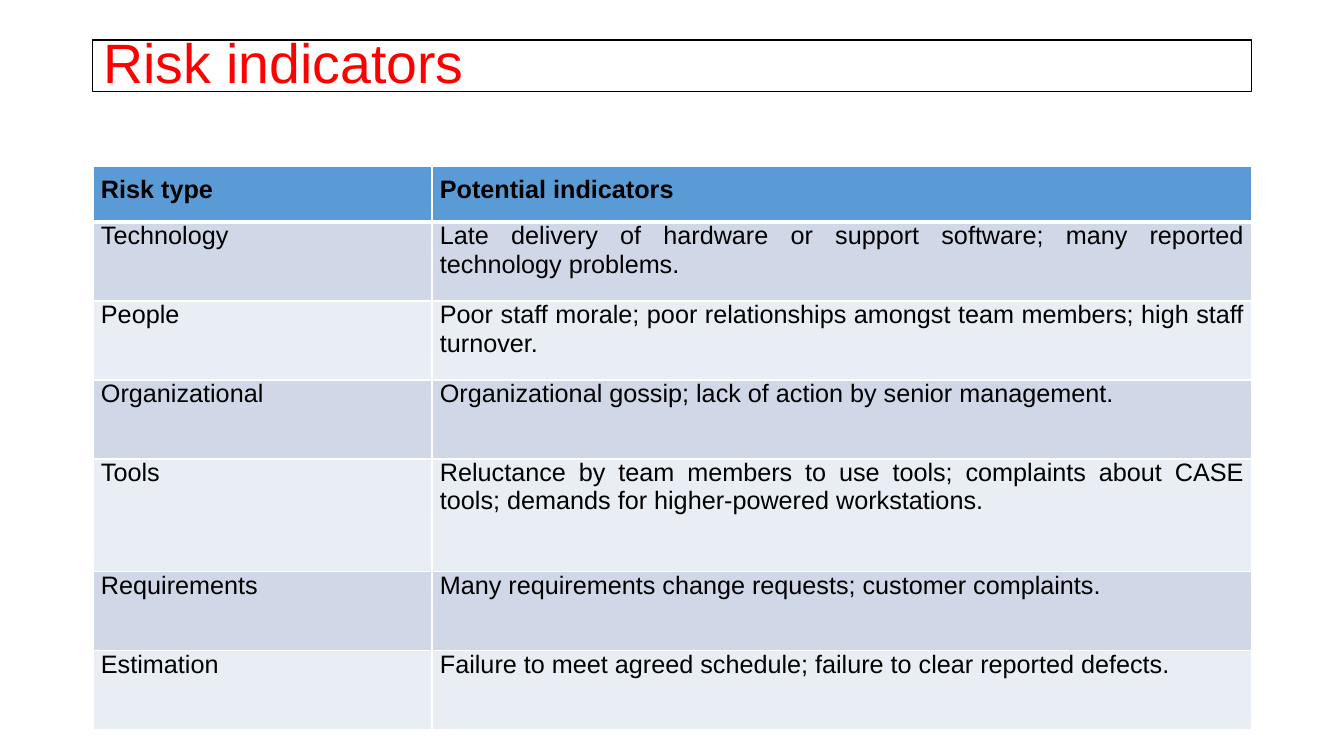
from lxml import etree
from pptx import Presentation
from pptx import util as u
from pptx.dml.color import RGBColor
from pptx.enum import text
from pptx.oxml import ns

EMU_PER_PX = 914400 / 100.8
SLIDE_SIZE = (1344, 756)
TITLE_BOX = (93, 40, 1159, 52)
TABLE_BOX = (93, 166, 1159, 564)

TYPE_WIDTH = 339
HEADER_HEIGHT, ROW_HEIGHT, TALL_HEIGHT = 56, 79, 113
HEADER_FILL = "5B9BD5"
BAND_FILLS = ("D0D8E8", "E9EDF4")

HEADER = ("Risk type", "Potential indicators")
RISKS = [
    ("Technology", "Late delivery of hardware or support software; many reported "
                   "technology problems."),
    ("People", "Poor staff morale; poor relationships amongst team members; "
               "high staff turnover."),
    ("Organizational", "Organizational gossip; lack of action by senior management."),
    ("Tools", "Reluctance by team members to use tools; complaints about CASE tools; "
              "demands for higher-powered workstations."),
    ("Requirements", "Many requirements change requests; customer complaints."),
    ("Estimation", "Failure to meet agreed schedule; failure to clear reported defects."),
]


def px(length):
    return u.Emu(round(length * EMU_PER_PX))


def colour(hex_value):
    return RGBColor.from_string(hex_value)


def apply(target, values):
    for name, value in values.items():
        setattr(target, name, value)


def write(frame, words, hex_value, font, paragraph_format):
    paragraph = frame.paragraphs[0]
    apply(paragraph, paragraph_format)
    run = paragraph.add_run()
    run.text = words
    apply(run.font, {"name": "Arial", **font})
    run.font.color.rgb = colour(hex_value)


def add_border(cell, side, points):
    line = etree.SubElement(cell._tc.get_or_add_tcPr(), ns.qn(f"a:ln{side}"),
                            w=str(u.Pt(points)))
    fill = etree.SubElement(line, ns.qn("a:solidFill"))
    etree.SubElement(fill, ns.qn("a:srgbClr"), val="FFFFFF")


# Outlined title
def place_title(slide, box):
    title = slide.shapes.title
    apply(title, dict(zip(("left", "top", "width", "height"), map(px, box))))
    title.line.color.rgb = colour("000000")
    title.line.width = u.Pt(0.75)
    apply(title.text_frame, {"word_wrap": True,
                             "auto_size": text.MSO_AUTO_SIZE.NONE,
                             "vertical_anchor": text.MSO_ANCHOR.MIDDLE})
    write(title.text_frame, "Risk indicators", "FF0000", {"size": u.Pt(39.6)},
          {"alignment": text.PP_ALIGN.LEFT, "line_spacing": 0.9})


# One table cell: margins, borders, fill and words
def format_cell(cell, words, row):
    is_header = row == 0
    apply(cell, {"margin_left": px(8), "margin_right": px(8),
                 "margin_top": px(10 if is_header else 0), "margin_bottom": px(10),
                 "vertical_anchor": text.MSO_ANCHOR.TOP})
    borders = {"L": 1, "R": 1, "T": 3 if row == 1 else 1, "B": 3 if is_header else 1}
    for side, points in borders.items():
        add_border(cell, side, points)
    cell.fill.solid()
    cell.fill.fore_color.rgb = colour(HEADER_FILL if is_header
                                      else BAND_FILLS[(row - 1) % 2])
    write(cell.text_frame, words, "000000", {"size": u.Pt(18), "bold": is_header},
          {"alignment": text.PP_ALIGN.JUSTIFY})


# Risk table
def place_risk_table(slide, box):
    rows = [HEADER, *RISKS]
    table = slide.shapes.add_table(len(rows), len(HEADER), *map(px, box)).table
    apply(table, {"first_row": True, "horz_banding": False})
    for column, width in zip(table.columns, (TYPE_WIDTH, box[2] - TYPE_WIDTH)):
        column.width = px(width)
    for row, entries in enumerate(rows):
        height = TALL_HEIGHT if entries[0] == "Tools" else ROW_HEIGHT
        table.rows[row].height = px(HEADER_HEIGHT if row == 0 else height)
        for column, words in enumerate(entries):
            format_cell(table.cell(row, column), words, row)


def main():
    deck = Presentation()
    deck.slide_width, deck.slide_height = map(px, SLIDE_SIZE)
    slide = deck.slides.add_slide(deck.slide_layouts[5])
    place_title(slide, TITLE_BOX)
    place_risk_table(slide, TABLE_BOX)
    deck.save("out.pptx")


if __name__ == "__main__":
    main()
